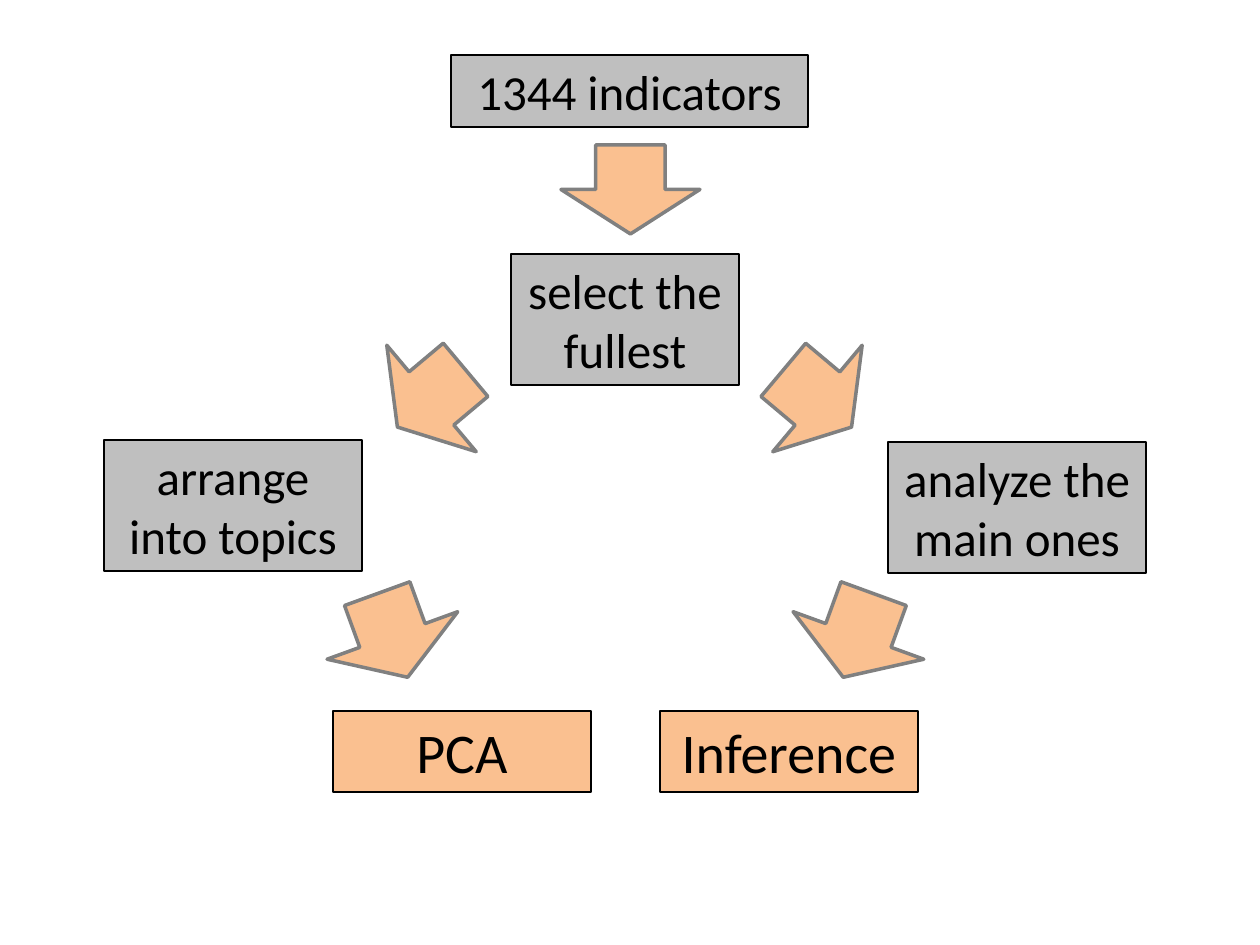
from pptx import Presentation
from pptx.dml.color import RGBColor
from pptx.enum.shapes import MSO_SHAPE as SHAPE
from pptx.enum.text import MSO_ANCHOR as ANCHOR, MSO_AUTO_SIZE as AUTO, PP_ALIGN as ALIGN
from pptx.util import Pt

PX = 914400 // 126
GREY, ORANGE, BLACK, EDGE = "BFBFBF", "FAC090", "000000", "808080"

BOXES = [
    ("1344 indicators", 451, 55, 357, 72, GREY, 28),
    ("select the fullest", 511, 254, 228, 131, GREY, 28),
    ("arrange into topics", 104, 440, 258, 131, GREY, 28),
    ("analyze the main ones", 888, 442, 258, 131, GREY, 28),
    ("Inference", 660, 711, 258, 81, ORANGE, 32),
    ("PCA", 333, 711, 258, 81, ORANGE, 32),
]
ARROW_W, ARROW_H = 139, 89
ARROWS = [
    (561, 145, 0),
    (748, 354, -50),
    (362, 354, 50),
    (789, 591, 20),
    (323, 591, -20),
]


def color(hex_code):
    return RGBColor.from_string(hex_code)


def add_shape(s, kind, box, fill, line, width):
    sp = s.shapes.add_shape(kind, *(v * PX for v in box))
    sp.shadow.inherit = False
    sp.fill.solid()
    sp.fill.fore_color.rgb = color(fill)
    sp.line.color.rgb = color(line)
    sp.line.width = Pt(width)
    return sp


def add_label(sp, text, size):
    tf = sp.text_frame
    tf.word_wrap = True
    tf.auto_size = AUTO.SHAPE_TO_FIT_TEXT
    tf.vertical_anchor = ANCHOR.TOP
    p = tf.paragraphs[0]
    p.alignment = ALIGN.CENTER
    r = p.add_run()
    r.text = text
    r.font.name = "Calibri"
    r.font.size = Pt(size)
    r.font.color.rgb = color(BLACK)


def main():
    prs = Presentation()
    prs.slide_width, prs.slide_height = 1260 * PX, 945 * PX
    s = prs.slides.add_slide(prs.slide_layouts[6])
    for text, x, y, w, h, fill, size in BOXES:
        sp = add_shape(s, SHAPE.RECTANGLE, (x, y, w, h), fill, BLACK, 1.5)
        add_label(sp, text, size)
    for x, y, angle in ARROWS:
        sp = add_shape(s, SHAPE.DOWN_ARROW, (x, y, ARROW_W, ARROW_H), ORANGE, EDGE, 2)
        sp.rotation = angle
    prs.save("out.pptx")


if __name__ == "__main__":
    main()
